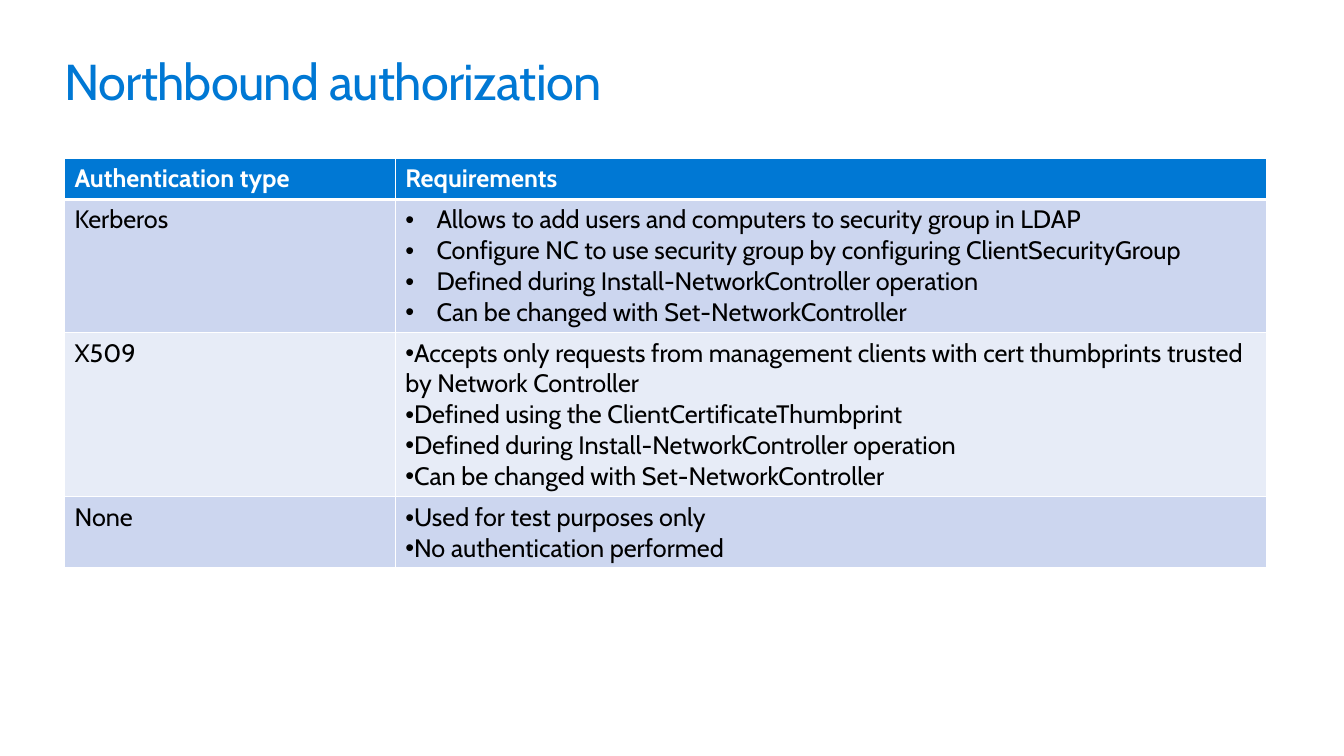
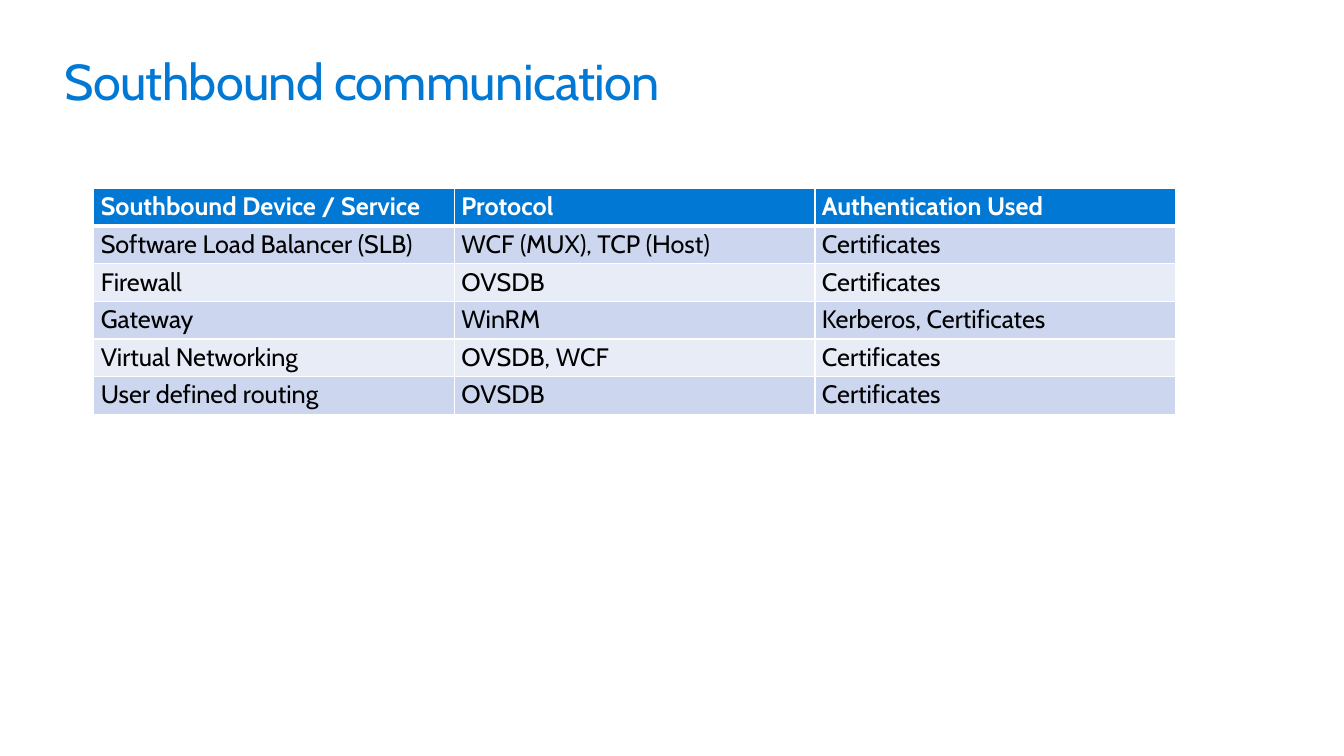
from lxml.etree import SubElement
from pptx import Presentation
from pptx.dml.color import RGBColor
from pptx.enum.text import MSO_ANCHOR
from pptx.oxml import parse_xml
from pptx.oxml.ns import nsdecls, qn
from pptx.util import Inches, Pt

FONT = "Cabin"
BLUE = "0078D4"
WHITE = "FFFFFF"
BLACK = "000000"
BANDS = ("CCD6EF", "E7ECF7")
HANGING = 0.31

AUTHORIZATION_ROWS = [
    ["Authentication type", "Requirements"],
    ["Kerberos", [
        "Allows to add users and computers to security group in LDAP",
        "Configure NC to use security group by configuring ClientSecurityGroup",
        "Defined during Install-NetworkController operation",
        "Can be changed with Set-NetworkController",
    ]],
    ["X509", [
        "Accepts only requests from management clients with cert thumbprints trusted by Network Controller",
        "Defined using the ClientCertificateThumbprint",
        "Defined during Install-NetworkController operation",
        "Can be changed with Set-NetworkController",
    ]],
    ["None", [
        "Used for test purposes only",
        "No authentication performed",
    ]],
]

COMMUNICATION_ROWS = [
    ["Southbound Device / Service", "Protocol", "Authentication Used"],
    ["Software Load Balancer (SLB)", "WCF (MUX), TCP (Host)", "Certificates"],
    ["Firewall", "OVSDB", "Certificates"],
    ["Gateway", "WinRM", "Kerberos, Certificates"],
    ["Virtual Networking", "OVSDB, WCF", "Certificates"],
    ["User defined routing", "OVSDB", "Certificates"],
]


def color(value):
    """Turn a hex string into a colour."""
    return RGBColor.from_string(value)


def style_font(font, size, value, bold=False):
    """Set the typeface, size, colour and weight of a font."""
    font.name = FONT
    font.size = Pt(size)
    font.bold = bold
    font.color.rgb = color(value)


def add_page(deck, title):
    """Add a blank page with its title."""
    page = deck.slides.add_slide(deck.slide_layouts[6])
    box = page.shapes.add_textbox(Inches(0.64), Inches(0.5), Inches(12.05), Inches(0.61))
    frame = box.text_frame
    frame.word_wrap = True
    frame.margin_left = frame.margin_right = frame.margin_top = frame.margin_bottom = 0
    para = frame.paragraphs[0]
    span = para.add_run()
    span.text = title
    span._r.get_or_add_rPr().set("spc", "-50")
    style_font(para.font, 36, BLUE)
    return page


def add_bullet(para, left):
    """Give a paragraph a hanging bullet at the left margin."""
    properties = para._p.get_or_add_pPr()
    properties.set("marL", str(Inches(left)))
    properties.set("indent", str(Inches(-HANGING)))
    SubElement(properties, qn("a:buFont")).set("typeface", "Arial")
    SubElement(properties, qn("a:buChar")).set("char", "•")


def set_borders(cell, top, bottom):
    """Draw white borders around a cell, with the given top and bottom widths."""
    properties = cell._tc.get_or_add_tcPr()
    widths = {"lnL": 1, "lnR": 1, "lnT": top, "lnB": bottom}
    for index, (side, width) in enumerate(widths.items()):
        properties.insert(index, parse_xml(
            f'<a:{side} {nsdecls("a")} w="{Pt(width)}"><a:solidFill>'
            f'<a:srgbClr val="{WHITE}"/></a:solidFill></a:{side}>'))


def fill_cell(cell, content, row, margins, bullet_left):
    """Write one cell, as plain text or as a bulleted list."""
    header = row == 0
    cell.fill.solid()
    cell.fill.fore_color.rgb = color(BLUE if header else BANDS[(row - 1) % 2])
    set_borders(cell, top=3 if row == 1 else 1, bottom=3 if header else 1)
    cell.vertical_anchor = MSO_ANCHOR.TOP
    cell.margin_left = cell.margin_right = Inches(margins[0])
    cell.margin_top = cell.margin_bottom = Inches(margins[1])
    bulleted = isinstance(content, list)
    frame = cell.text_frame
    frame.text = "\n".join(content) if bulleted else content
    for para in frame.paragraphs:
        if bulleted:
            add_bullet(para, bullet_left)
        style_font(para.font, 18, WHITE if header else BLACK, header)


def add_grid(page, left, top, widths, heights, rows, margins=(0.1, 0.05), hanging_row=None):
    """Add a table with a blue header and banded rows."""
    table = page.shapes.add_table(
        len(rows), len(widths), Inches(left), Inches(top),
        Inches(sum(widths)), Inches(sum(heights))).table
    for column, width in zip(table.columns, widths):
        column.width = Inches(width)
    for index, (height, contents) in enumerate(zip(heights, rows)):
        table.rows[index].height = Inches(height)
        bullet_left = HANGING if index == hanging_row else 0
        for column, content in enumerate(contents):
            fill_cell(table.cell(index, column), content, index, margins, bullet_left)


def main():
    """Build and save the deck."""
    deck = Presentation()
    deck.slide_width = Inches(13.33)
    deck.slide_height = Inches(7.5)

    page = add_page(deck, "Northbound authorization")
    add_grid(page, 0.64, 1.57, [3.28, 8.64], [0.41, 1.32, 1.63, 0.7],
             AUTHORIZATION_ROWS, hanging_row=1)

    page = add_page(deck, "Southbound communication")
    row_count = len(COMMUNICATION_ROWS)
    add_grid(page, 0.93, 1.87, [10.73 / 3] * 3, [2.24 / row_count] * row_count,
             COMMUNICATION_ROWS, margins=(0.07, 0.03))

    deck.save("out.pptx")


if __name__ == "__main__":
    main()
